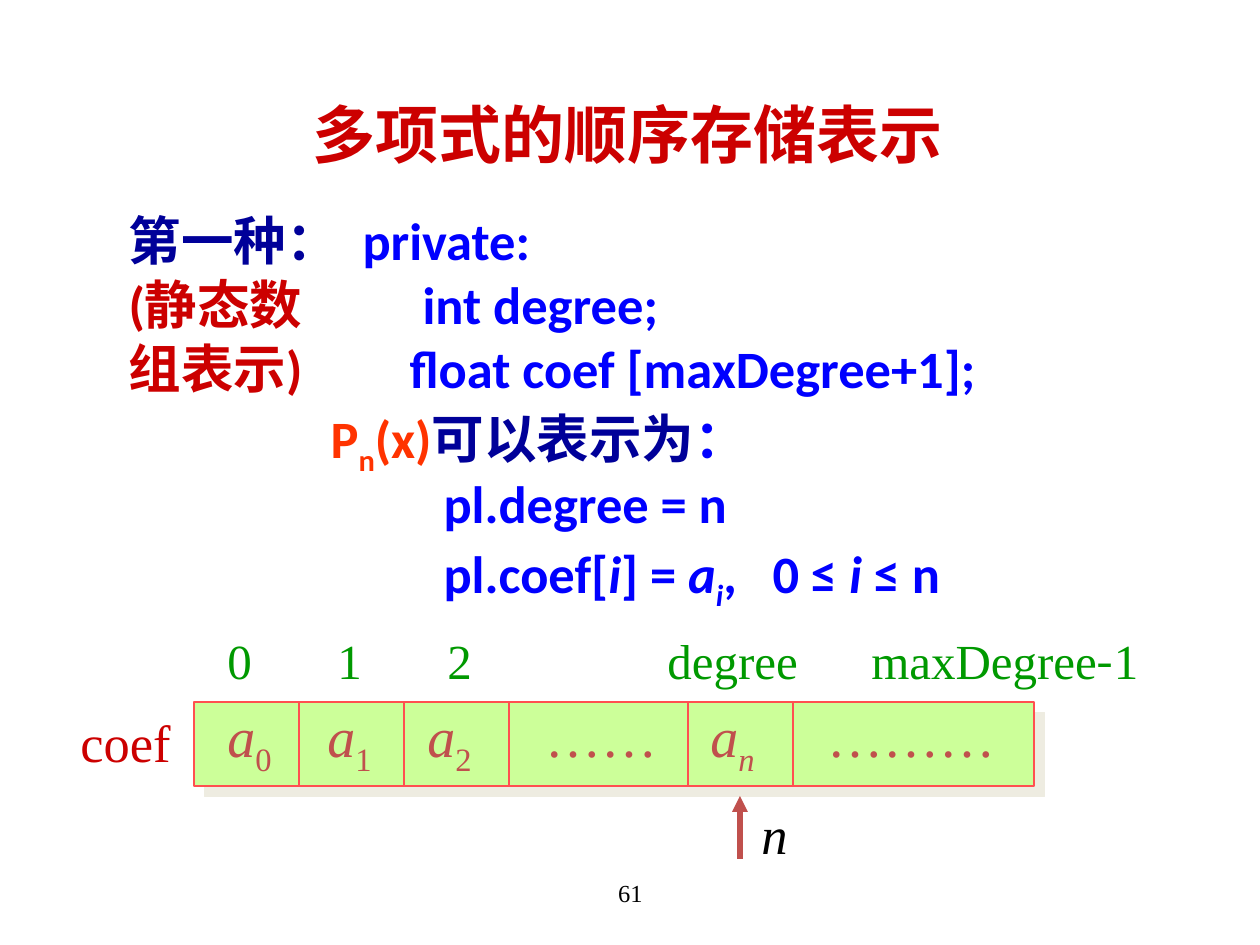
from dataclasses import dataclass

from lxml import etree
from pptx import Presentation
from pptx.dml.color import RGBColor
from pptx.enum.shapes import MSO_CONNECTOR, MSO_SHAPE
from pptx.enum.text import MSO_ANCHOR, MSO_AUTO_SIZE, PP_ALIGN
from pptx.oxml.ns import qn
from pptx.util import Emu, Pt

STRAIGHT = MSO_CONNECTOR.STRAIGHT
RECTANGLE = MSO_SHAPE.RECTANGLE
CENTER = PP_ALIGN.CENTER
TOP, MIDDLE = MSO_ANCHOR.TOP, MSO_ANCHOR.MIDDLE
NO_AUTOFIT = MSO_AUTO_SIZE.NONE

PX_PER_INCH = 126
EMU_PER_PX = 914400 / PX_PER_INCH


@dataclass(frozen=True)
class Theme:
    red: str = "CC0000"
    navy: str = "000099"
    blue: str = "0000FF"
    orange: str = "FF3300"
    green: str = "009900"
    brick: str = "C0504D"
    black: str = "000000"
    cell_fill: str = "CCFF99"
    cell_line: str = "FF5050"
    shadow: str = "EEECE1"
    sans: str = "Calibri"
    serif: str = "Times New Roman"
    east_asian: str = "Noto Sans CJK SC"
    title_size: int = 36
    body_size: int = 30
    cell_size: int = 32
    index_size: int = 28
    page_size: int = 14


THEME = Theme()


@dataclass(frozen=True)
class Span:
    text: str
    color: str
    italic: bool = False
    subscript: bool = False
    font: str = THEME.serif


@dataclass(frozen=True)
class Line:
    """A line of spans with tab stops in px from the text's left edge."""
    spans: tuple[Span, ...]
    tabs: tuple[int, ...] = ()


@dataclass(frozen=True)
class Box:
    left: int
    top: int
    width: int
    height: int


def px(length: float) -> Emu:
    return Emu(round(length * EMU_PER_PX))


def rgb(color: str) -> RGBColor:
    return RGBColor.from_string(color)


def place(shape, box: Box) -> None:
    shape.left, shape.top = px(box.left), px(box.top)
    shape.width, shape.height = px(box.width), px(box.height)


def fill_paragraph(paragraph, line: Line, size: int, bold: bool = False) -> None:
    properties = paragraph._p.get_or_add_pPr()
    properties.set("marL", "0")
    etree.SubElement(properties, qn("a:buNone"))
    if line.tabs:
        tab_list = etree.SubElement(properties, qn("a:tabLst"))
        for stop in line.tabs:
            etree.SubElement(tab_list, qn("a:tab"), pos=str(px(stop)), algn="l")
    for span in line.spans:
        run = paragraph.add_run()
        run.text = span.text
        font = run.font
        font.name, font.size = span.font, Pt(size)
        font.bold, font.italic = bold, span.italic
        font.color.rgb = rgb(span.color)
        run_properties = run._r.get_or_add_rPr()
        if span.subscript:
            run_properties.set("baseline", "-25000")
        latin = run_properties.find(qn("a:latin"))
        latin.addnext(etree.Element(qn("a:ea"), typeface=THEME.east_asian))


def add_text(slide, box: Box, line: Line, size: int):
    shape = slide.shapes.add_textbox(0, 0, 0, 0)
    place(shape, box)
    shape.text_frame.word_wrap = bool(line.tabs)
    fill_paragraph(shape.text_frame.paragraphs[0], line, size)
    return shape


def add_line(slide, start: tuple[int, int], end: tuple[int, int], color: str, width: float):
    connector = slide.shapes.add_connector(STRAIGHT, *map(px, start + end))
    connector.line.color.rgb = rgb(color)
    connector.line.width = Pt(width)
    etree.SubElement(connector._element.spPr, qn("a:effectLst"))
    return connector


def add_array(slide, box: Box, dividers: tuple[int, ...]) -> None:
    frame = slide.shapes.add_shape(RECTANGLE, 0, 0, 0, 0)
    place(frame, box)
    frame.fill.solid()
    frame.fill.fore_color.rgb = rgb(THEME.cell_fill)
    frame.line.color.rgb = rgb(THEME.cell_line)
    frame.line.width = Pt(0.75)
    frame.shadow.inherit = False
    effects = frame._element.spPr.find(qn("a:effectLst"))
    shadow = etree.SubElement(effects, qn("a:outerShdw"), dist=str(Pt(8.5)),
                              dir="2700000", algn="ctr", rotWithShape="0")
    etree.SubElement(shadow, qn("a:srgbClr"), val=THEME.shadow)
    for x in dividers:
        add_line(slide, (x, box.top), (x, box.top + box.height), THEME.cell_line, 0.75)


def sans(text: str, color: str = THEME.blue, **style) -> Span:
    return Span(text, color, font=THEME.sans, **style)


def cell(text: str, **style) -> Span:
    return Span(text, THEME.brick, **style)


TITLE = Line((sans("多项式的顺序存储表示", THEME.red),))
BODY = (
    Line((sans("第一种：", THEME.navy), sans("\tprivate:")), (234,)),
    Line((sans("(静态数", THEME.red), sans("\tint degree;")), (294,)),
    Line((sans("组表示)", THEME.red), sans("\tfloat coef [maxDegree+1];")), (281,)),
    Line((sans("\tP", THEME.orange), sans("n", THEME.orange, subscript=True),
          sans("(x)", THEME.orange), sans("可以表示为", THEME.navy), sans("：")), (202,)),
    Line((sans("\tpl.degree = n"),), (315,)),
    Line((sans("\tpl.coef["), sans("i", italic=True), sans("] = "),
          sans("a", italic=True), sans("i", italic=True, subscript=True),
          sans(",\t0 ≤ "), sans("i ", italic=True), sans("≤ n")), (315, 644)),
)
CELLS = Line((
    cell("a", italic=True), cell("0", subscript=True),
    cell("\ta", italic=True), cell("1", subscript=True),
    cell("\ta", italic=True), cell("2", subscript=True),
    cell("\t……"),
    cell("\ta", italic=True), cell("n", italic=True, subscript=True),
    cell("\t………"),
), (100, 200, 318, 483, 600))
INDEXES = Line((
    Span("0\t1\t2\tdegree\tmaxDegree", THEME.green),
    Span("-", THEME.green, font=THEME.east_asian),
    Span("1", THEME.green),
), (110, 220, 440, 644))


def clear_body_indent(presentation) -> None:
    """Drop the master's hanging indent, which overrides custom tab stops."""
    master = presentation.slide_master._element
    for level in master.iterfind(f".//{qn('p:bodyStyle')}/{qn('a:lvl1pPr')}"):
        level.attrib.pop("indent", None)
        level.set("marL", "0")


def fill_placeholders(slide) -> None:
    title = slide.shapes.title
    place(title, Box(218, 86, 819, 94))
    title.text_frame.vertical_anchor = MIDDLE
    title.text_frame.auto_size = NO_AUTOFIT
    heading = title.text_frame.paragraphs[0]
    fill_paragraph(heading, TITLE, THEME.title_size, bold=True)
    heading.alignment = CENTER

    body = slide.placeholders[1]
    place(body, Box(116, 211, 1071, 494))
    frame = body.text_frame
    frame.vertical_anchor = TOP
    frame.auto_size = NO_AUTOFIT
    for index, line in enumerate(BODY):
        paragraph = frame.add_paragraph() if index else frame.paragraphs[0]
        fill_paragraph(paragraph, line, THEME.body_size, bold=True)
        paragraph.line_spacing = 0.85
        paragraph.space_before = Pt(6 if index else 0)


def main() -> None:
    presentation = Presentation()
    presentation.slide_width, presentation.slide_height = px(1260), px(945)
    clear_body_indent(presentation)
    slide = presentation.slides.add_slide(presentation.slide_layouts[1])
    fill_placeholders(slide)

    page = add_text(slide, Box(431, 861, 399, 63), Line((Span("61", THEME.black),)), THEME.page_size)
    page.text_frame.word_wrap = True
    page.text_frame.vertical_anchor = MIDDLE
    page.text_frame.paragraphs[0].alignment = CENTER

    add_array(slide, Box(194, 702, 840, 84), (299, 404, 509, 688, 793))
    add_text(slide, Box(215, 695, 801, 79), CELLS, THEME.cell_size)
    add_text(slide, Box(215, 624, 964, 72), INDEXES, THEME.index_size)
    add_text(slide, Box(68, 704, 116, 76), Line((Span("coef", THEME.red),)), THEME.body_size)

    arrow = add_line(slide, (740, 859), (740, 796), THEME.brick, 3)
    etree.SubElement(arrow.line._get_or_add_ln(), qn("a:tailEnd"), type="triangle")
    add_text(slide, Box(749, 796, 54, 76), Line((Span("n", THEME.black, italic=True),)), THEME.body_size)

    presentation.save("out.pptx")


if __name__ == "__main__":
    main()
